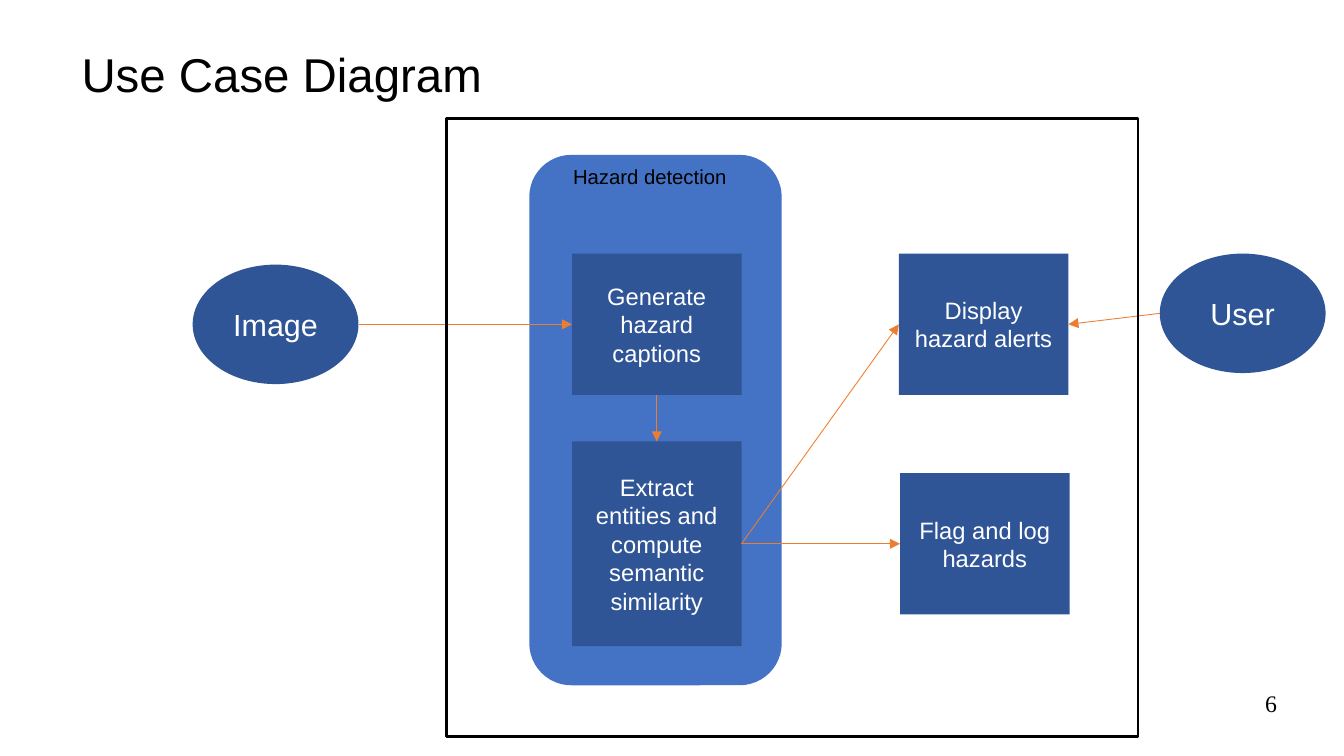
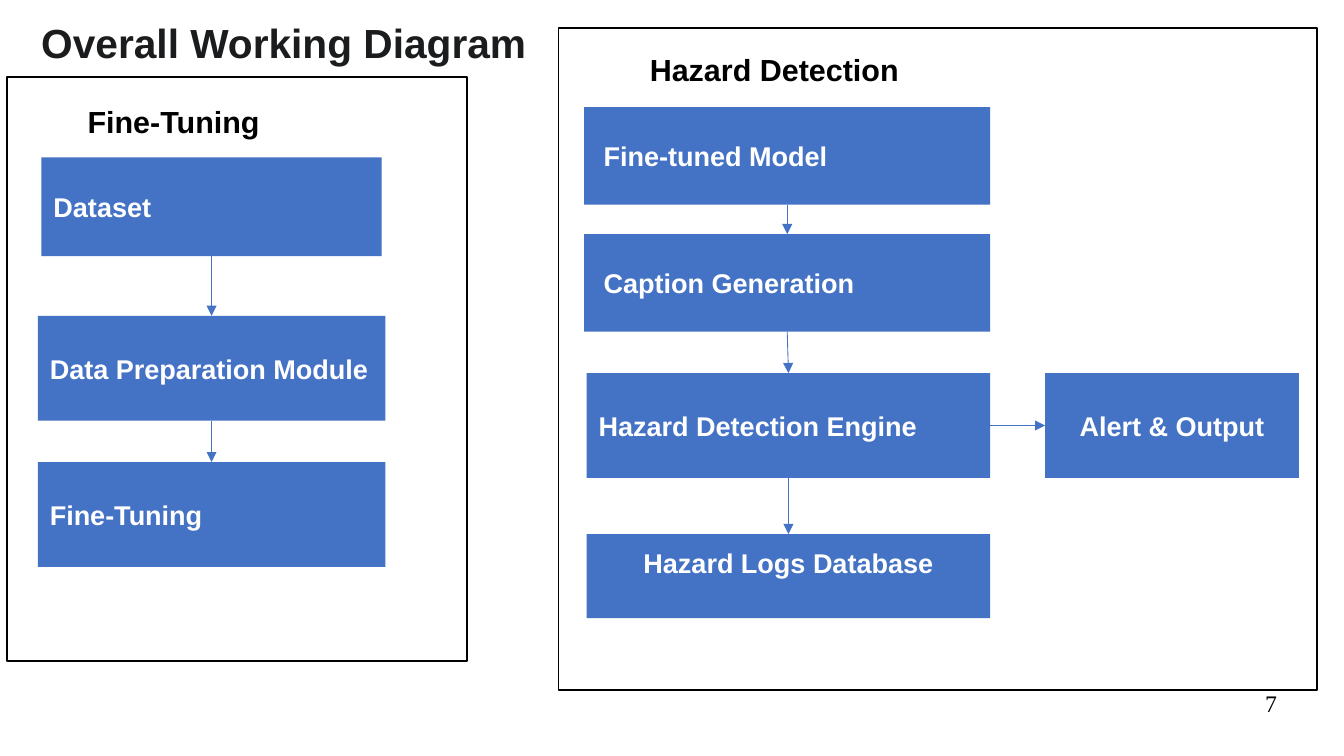
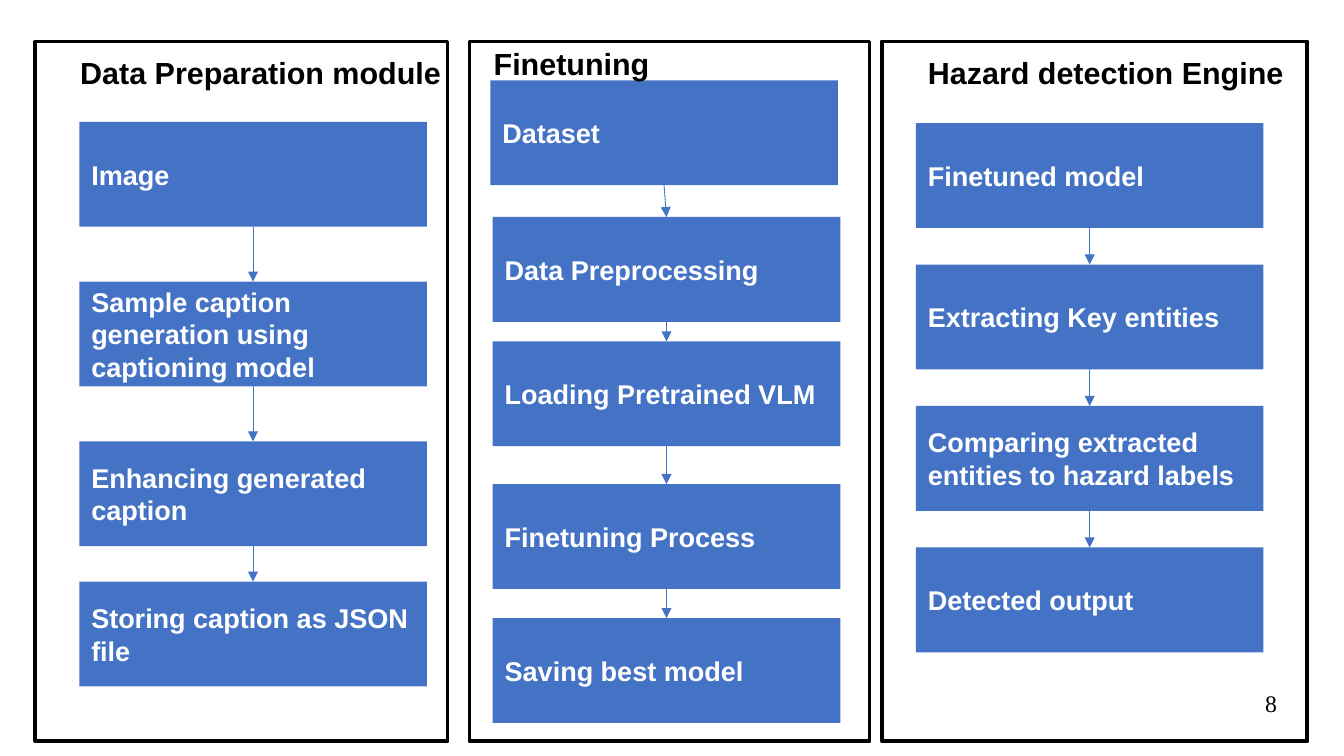
from lxml.etree import SubElement
from pptx import Presentation
from pptx.dml.color import RGBColor
from pptx.enum.shapes import MSO_CONNECTOR, MSO_SHAPE
from pptx.enum.text import MSO_ANCHOR, PP_ALIGN
from pptx.oxml.ns import qn
from pptx.util import Inches, Pt

BLACK = RGBColor(0x00, 0x00, 0x00)
WHITE = RGBColor(0xFF, 0xFF, 0xFF)
INK = RGBColor(0x1B, 0x1C, 0x1D)
BLUE = RGBColor(0x44, 0x72, 0xC4)
NAVY = RGBColor(0x2F, 0x55, 0x97)
ORANGE = RGBColor(0xED, 0x7D, 0x31)

TOP, LEFT, BOTTOM, RIGHT = range(4)
STEP_WIDTH, STEP_HEIGHT = 2.85, 0.86


def write_text(shape, text, size=16, bold=False, color=WHITE, font="Arial",
               align=PP_ALIGN.LEFT, anchor=MSO_ANCHOR.MIDDLE,
               insets=(0.1, 0.05, 0.1, 0.05)):
    """Put one formatted paragraph into a shape; insets are left, top, right, bottom."""
    frame = shape.text_frame
    frame.word_wrap = True
    frame.vertical_anchor = anchor
    frame.margin_left, frame.margin_top, frame.margin_right, frame.margin_bottom = map(Inches, insets)
    paragraph = frame.paragraphs[0]
    paragraph.alignment = align
    run = paragraph.add_run()
    run.text = text
    run.font.name = font
    run.font.size = Pt(size)
    run.font.bold = bold
    run.font.color.rgb = color


def add_label(slide, box, text, **text_format):
    """Add a free-standing text, black and top-anchored by default."""
    label = slide.shapes.add_textbox(*map(Inches, box))
    write_text(label, text, **{"color": BLACK, "anchor": MSO_ANCHOR.TOP, **text_format})


def add_block(slide, box, fill, kind=MSO_SHAPE.RECTANGLE):
    """Add a filled shape without outline or shadow."""
    block = slide.shapes.add_shape(kind, *map(Inches, box))
    block.shadow.inherit = False
    block.fill.solid()
    block.fill.fore_color.rgb = fill
    block.line.fill.background()
    return block


def add_frame(slide, box, weight):
    """Add an unfilled black border."""
    frame = slide.shapes.add_shape(MSO_SHAPE.RECTANGLE, *map(Inches, box))
    frame.shadow.inherit = False
    frame.fill.background()
    frame.line.color.rgb = BLACK
    frame.line.width = Pt(weight)


def add_node(slide, box, text, kind=MSO_SHAPE.RECTANGLE, size=14):
    """Add a navy use case or actor with centred text."""
    node = add_block(slide, box, NAVY, kind)
    write_text(node, text, size=size, align=PP_ALIGN.CENTER)
    return node


def add_step(slide, box, text, **text_format):
    """Add a blue process step with bold text."""
    step = add_block(slide, box, BLUE)
    write_text(step, text, bold=True, **text_format)
    return step


def edge_point(shape, side):
    """Return the middle of one side of a shape."""
    across = {LEFT: 0, RIGHT: shape.width}.get(side, shape.width // 2)
    down = {TOP: 0, BOTTOM: shape.height}.get(side, shape.height // 2)
    return shape.left + across, shape.top + down


def add_arrow(slide, source, target, sides=(BOTTOM, TOP), color=BLUE):
    """Draw an arrow between two shapes, glued to rectangles."""
    ends = edge_point(source, sides[0]) + edge_point(target, sides[1])
    arrow = slide.shapes.add_connector(MSO_CONNECTOR.STRAIGHT, *ends)
    if source.auto_shape_type == MSO_SHAPE.RECTANGLE:
        arrow.begin_connect(source, sides[0])
    if target.auto_shape_type == MSO_SHAPE.RECTANGLE:
        arrow.end_connect(target, sides[1])
    arrow.line.color.rgb = color
    arrow.line.width = Pt(0.5)
    SubElement(arrow.line._get_or_add_ln(), qn("a:tailEnd"), type="triangle")
    SubElement(arrow._element.spPr, qn("a:effectLst"))


def chain(slide, steps):
    """Link each step to the next one below it."""
    for source, target in zip(steps, steps[1:]):
        add_arrow(slide, source, target)


def add_slide(deck, number):
    """Add a blank slide with its page number."""
    slide = deck.slides.add_slide(deck.slide_layouts[6])
    add_label(slide, (7.9, 5.65, 2.57, 0.43), str(number), size=14,
              font="Times New Roman", align=PP_ALIGN.RIGHT, insets=(0, 0, 0, 0))
    return slide


def build_use_cases(deck):
    """Build the use case diagram."""
    slide = add_slide(deck, 6)
    add_block(slide, (4.34, 1.27, 2.07, 4.35), BLUE, MSO_SHAPE.ROUNDED_RECTANGLE)
    generate = add_node(slide, (4.69, 2.08, 1.39, 1.16), "Generate hazard captions")
    extract = add_node(slide, (4.69, 3.62, 1.39, 1.68),
                       "Extract entities and compute semantic similarity")
    flag = add_node(slide, (7.38, 3.88, 1.39, 1.16), "Flag and log hazards")
    display = add_node(slide, (7.37, 2.08, 1.39, 1.16), "Display hazard alerts")
    image = add_node(slide, (1.58, 2.17, 1.36, 0.98), "Image", MSO_SHAPE.OVAL, 18)
    user = add_node(slide, (9.51, 2.08, 1.36, 0.98), "User", MSO_SHAPE.OVAL, 18)
    for source, target, sides in (
        (image, generate, (RIGHT, LEFT)),
        (generate, extract, (BOTTOM, TOP)),
        (extract, flag, (RIGHT, LEFT)),
        (extract, display, (RIGHT, LEFT)),
        (user, display, (LEFT, RIGHT)),
    ):
        add_arrow(slide, source, target, sides, ORANGE)
    add_frame(slide, (3.66, 0.97, 5.67, 5.07), 1.5)
    add_label(slide, (4.6, 1.3, 1.62, 0.3), "Hazard detection", size=12)
    add_label(slide, (0.57, 0.32, 5.51, 0.57), "Use Case Diagram", size=28)


def build_overview(deck):
    """Build the overall working diagram."""
    slide = add_slide(deck, 7)
    add_label(slide, (0.24, 0.1, 6.67, 0.5), "Overall Working Diagram",
              size=24, bold=True, color=INK)
    add_frame(slide, (4.58, 0.23, 6.22, 5.43), 1)
    add_frame(slide, (0.06, 0.63, 3.77, 4.79), 1)
    add_label(slide, (0.62, 0.8, 1.8, 0.4), "Fine-Tuning", size=18, bold=True)
    add_label(slide, (5.23, 0.37, 2.5, 0.4), "Hazard Detection", size=18, bold=True)

    chain(slide, [
        add_step(slide, (0.34, 1.29, 2.79, 0.81), "Dataset"),
        add_step(slide, (0.31, 2.59, STEP_WIDTH, STEP_HEIGHT), "Data Preparation Module"),
        add_step(slide, (0.31, 3.79, STEP_WIDTH, STEP_HEIGHT), "Fine-Tuning"),
    ])

    indented = (0.16, 0.05, 0.1, 0.05)
    model = add_step(slide, (4.79, 0.88, 3.33, 0.8), "Fine-tuned Model", insets=indented)
    captions = add_step(slide, (4.79, 1.92, 3.33, 0.8), "Caption Generation", insets=indented)
    engine = add_step(slide, (4.81, 3.06, 3.31, STEP_HEIGHT), "Hazard Detection Engine")
    logs = add_step(slide, (4.81, 4.38, 3.31, 0.69), "Hazard Logs Database",
                    align=PP_ALIGN.CENTER, anchor=MSO_ANCHOR.TOP, insets=(0.1, 0.1, 0.1, 0.05))
    alert = add_step(slide, (8.57, 3.06, 2.08, STEP_HEIGHT), "Alert & Output",
                     align=PP_ALIGN.CENTER)
    chain(slide, [model, captions, engine, logs])
    add_arrow(slide, engine, alert, (RIGHT, LEFT))


def add_module(slide, frame_box, heading_box, heading, steps):
    """Add a framed column of linked steps; each step is left, top and text."""
    add_frame(slide, frame_box, 2.25)
    chain(slide, [add_step(slide, (left, top, STEP_WIDTH, STEP_HEIGHT), text)
                  for left, top, text in steps])
    add_label(slide, heading_box, heading, size=18, bold=True)


def build_modules(deck):
    """Build the three module flows."""
    slide = add_slide(deck, 8)
    add_module(slide, (0.29, 0.34, 3.38, 5.74), (0.56, 0.39, 3.2, 0.4),
               "Data Preparation module", (
                   (0.65, 1, "Image"),
                   (0.65, 2.31, "Sample caption generation using captioning model"),
                   (0.65, 3.62, "Enhancing generated caption"),
                   (0.65, 4.77, "Storing caption as JSON file")))
    add_module(slide, (3.85, 0.34, 3.28, 5.74), (3.95, 0.32, 2.23, 0.4),
               "Finetuning", (
                   (4.02, 0.66, "Dataset"),
                   (4.04, 1.78, "Data Preprocessing"),
                   (4.04, 2.8, "Loading Pretrained VLM"),
                   (4.04, 3.97, "Finetuning Process"),
                   (4.04, 5.07, "Saving best model")))
    detection = ("Finetuned model", "Extracting Key entities",
                 "Comparing extracted entities to hazard labels", "Detected output")
    add_module(slide, (7.23, 0.34, 3.49, 5.74), (7.51, 0.39, 3.22, 0.4),
               "Hazard detection Engine",
               [(7.51, 1.01 + 1.16 * row, text) for row, text in enumerate(detection)])


def main():
    """Build and save the deck."""
    deck = Presentation()
    deck.slide_width = Inches(11.02)
    deck.slide_height = Inches(6.2)
    build_use_cases(deck)
    build_overview(deck)
    build_modules(deck)
    deck.save("out.pptx")


if __name__ == "__main__":
    main()
